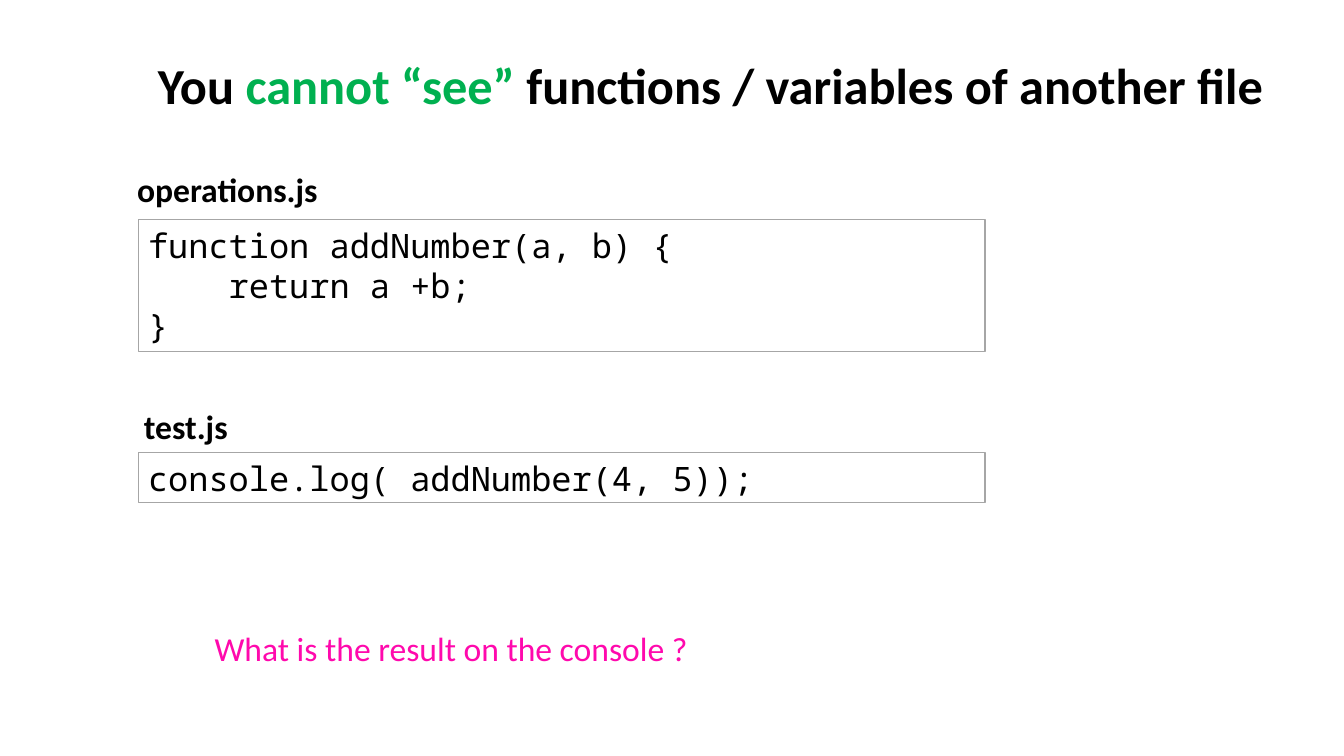
from pptx import Presentation
from pptx.dml.color import RGBColor
from pptx.enum.shapes import MSO_SHAPE
from pptx.enum.text import MSO_ANCHOR, PP_ALIGN
from pptx.util import Inches, Pt

BLACK = RGBColor(0x00, 0x00, 0x00)
GREEN = RGBColor(0x00, 0xB0, 0x50)
PINK = RGBColor(0xFF, 0x09, 0xAD)
GRAY = RGBColor(0xA6, 0xA6, 0xA6)
LEFT, CENTER = PP_ALIGN.LEFT, PP_ALIGN.CENTER
TOP = MSO_ANCHOR.TOP
RECT = MSO_SHAPE.RECTANGLE
SANS, MONO = "Calibri", "Noto Sans Mono"

TITLE = [
    ("You ", BLACK),
    ("cannot “see” ", GREEN),
    ("functions / variables of another file", BLACK),
]
# (left, top, width, height), runs, size, bold, alignment
LABELS = [
    ((1.33, 0.49, 11.44, 0.71), TITLE, 36, True, CENTER),
    ((0.66, 1.63, 3.19, 0.5), [("operations.js", BLACK)], 24, True, CENTER),
    ((1.33, 3.98, 1.73, 0.5), [("test.js", BLACK)], 24, True, LEFT),
    ((2.03, 6.18, 7.73, 0.5),
     [("What is the result on the console ?", PINK)], 24, False, LEFT),
]
# (left, top, width, height), code
CODES = [
    ((1.37, 2.18, 8.4, 1.31),
     "function addNumber(a, b) {\n    return a +b;\n}"),
    ((1.37, 4.49, 8.4, 0.5), "console.log( addNumber(4, 5));"),
]


def style(run, name, size, color, bold=False):
    font = run.font
    font.name, font.size, font.bold = name, Pt(size), bold
    font.color.rgb = color


def add_label(slide, place, runs, size, bold, align):
    frame = slide.shapes.add_textbox(*map(Inches, place)).text_frame
    frame.word_wrap = True
    para = frame.paragraphs[0]
    para.alignment = align
    for text, color in runs:
        run = para.add_run()
        run.text = text
        style(run, SANS, size, color, bold)


def add_code(slide, place, code):
    box = slide.shapes.add_shape(RECT, *map(Inches, place))
    box.shadow.inherit = False
    box.fill.background()
    box.line.color.rgb = GRAY
    box.line.width = Pt(0.75)
    frame = box.text_frame
    frame.word_wrap = True
    frame.vertical_anchor = TOP
    frame.text = code
    for para in frame.paragraphs:
        para.alignment = LEFT
        for run in para.runs:
            style(run, MONO, 24, BLACK)


def main():
    deck = Presentation()
    deck.slide_width, deck.slide_height = Inches(13.33), Inches(7.5)
    slide = deck.slides.add_slide(deck.slide_layouts[6])
    for label in LABELS:
        add_label(slide, *label)
    for code in CODES:
        add_code(slide, *code)
    deck.save("out.pptx")


if __name__ == "__main__":
    main()
